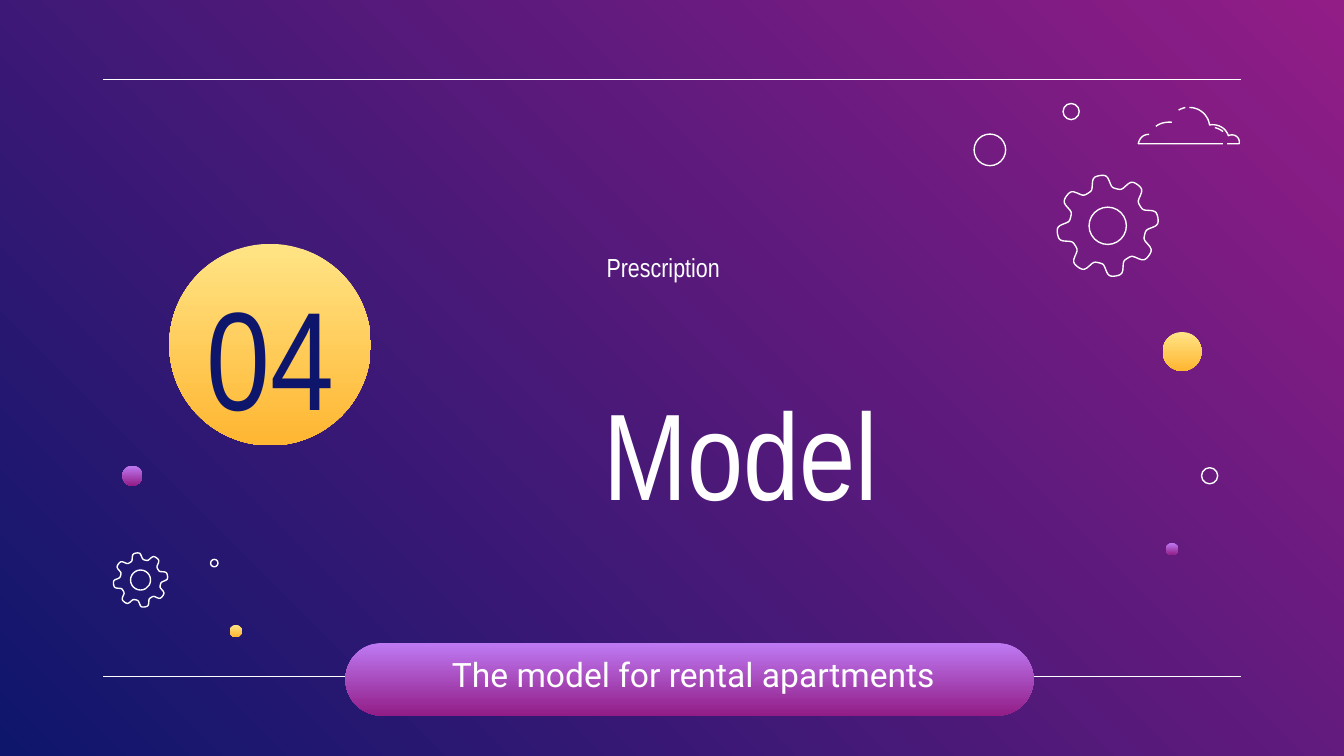
"""Build the section slide "04 Model" on a grid of 100 columns of 0.1 inch."""
import math

import pptx
import pptx.dml.color
import pptx.enum.shapes
import pptx.enum.text
import pptx.oxml
import pptx.oxml.ns
import pptx.util

RGB = pptx.dml.color.RGBColor
SHAPE = pptx.enum.shapes.MSO_SHAPE
ALIGN = pptx.enum.text.PP_ALIGN
ANCHOR = pptx.enum.text.MSO_ANCHOR

COLUMNS, ROWS = 100, 56.25
WHITE = RGB(0xFF, 0xFF, 0xFF)
NAVY = RGB(0x0E, 0x16, 0x6C)
MAGENTA = RGB(0x92, 0x1D, 0x87)
LILAC = RGB(0xBE, 0x7A, 0xF3)
GOLD = (RGB(0xFF, 0xE4, 0x85), RGB(0xFF, 0xB6, 0x32))
PURPLE = (LILAC, MAGENTA)
NARROW = "Arial Narrow"

BADGE = (20.1, 25.65, 15)
DOTS = [
    (87.95, 26.15, 2.9, GOLD),
    (9.85, 35.4, 1.5, PURPLE),
    (17.55, 46.95, 0.9, GOLD),
    (87.2, 40.85, 0.9, PURPLE),
]
RINGS = [(79.7, 8.3, 1.2), (90, 35.4, 1.2), (73.65, 11.15, 2.35), (15.95, 41.9, 0.55)]
GEARS = [(82.42, 16.8, 3.8), (10.46, 43.16, 2.04)]
CLOUD = [
    [[(88.5, 8)],
     [(89.3, 8), (89.9, 8.6), (90, 9.3)],
     [(90.6, 9.2), (91.2, 9.5), (91.4, 10.1)],
     [(91.8, 9.9), (92.3, 10.2), (92.2, 10.7)],
     [(91.3, 10.7)]],
    [[(88.2, 8)], [(88.2, 8), (87.8, 8.1), (87.7, 8.2)]],
    [[(91, 10.7)], [(84.7, 10.7)], [(84.7, 10.7), (84.8, 10), (85.5, 10)]],
    [[(90.4, 9.5)], [(90.4, 9.5), (90.8, 9.6), (91, 9.8)]],
    [[(87.2, 9.1)], [(87.2, 9.1), (86.5, 9), (86, 9.4)]],
]


def cells(count):
    """Turn a number of grid cells into a length."""
    return pptx.util.Inches(count / 10)


def paint_gradient(fill, colours, angle):
    """Fill with two colours at a counter-clockwise angle."""
    fill.gradient()
    fill.gradient_angle = angle
    for stop, colour in zip(fill.gradient_stops, colours):
        stop.color.rgb = colour


def finish(shape, colours=None):
    """Give a shape a vertical gradient, or a white outline without colours."""
    shape.shadow.inherit = False
    if colours:
        paint_gradient(shape.fill, colours, 270)
        shape.line.fill.background()
    else:
        shape.fill.background()
        shape.line.color.rgb = WHITE
        shape.line.width = pptx.util.Pt(0.75)


def add_circle(slide, centre_x, centre_y, size, colours=None):
    """Add a circle around its centre."""
    corner = cells(centre_x - size / 2), cells(centre_y - size / 2)
    finish(slide.shapes.add_shape(SHAPE.OVAL, *corner, cells(size), cells(size)), colours)


def add_outline(slide, points, closed):
    """Draw a white outline through grid points."""
    first, *rest = [(cells(x), cells(y)) for x, y in points]
    builder = slide.shapes.build_freeform(*first)
    builder.add_line_segments(rest, close=closed)
    finish(builder.convert_to_shape())


def add_gear(slide, centre_x, centre_y, radius, teeth=8, steps=192):
    """Draw a gear with rounded teeth and a round hole."""
    points = []
    for step in range(steps):
        turn = 2 * math.pi * step / steps
        wave = math.tanh(2 * math.cos(teeth * (turn + math.radians(99))))
        reach = radius * (0.87 + 0.13 * wave)
        points.append((centre_x + reach * math.cos(turn), centre_y + reach * math.sin(turn)))
    add_outline(slide, points, True)
    add_circle(slide, centre_x, centre_y, radius * 0.73)


def add_stroke(slide, segments, steps=10):
    """Draw an open stroke of straight lines and cubic curves."""
    points = list(segments[0])
    for segment in segments[1:]:
        if len(segment) == 1:
            points += segment
            continue
        corners = [points[-1], *segment]
        for step in range(1, steps + 1):
            t = step / steps
            weights = [math.comb(3, i) * t**i * (1 - t) ** (3 - i) for i in range(4)]
            points.append(tuple(sum(w * c[axis] for w, c in zip(weights, corners))
                                for axis in (0, 1)))
    add_outline(slide, points, False)


def add_rule(slide, row):
    """Draw a thin white line between the side margins."""
    rule = slide.shapes.add_connector(
        pptx.enum.shapes.MSO_CONNECTOR.STRAIGHT,
        cells(7.7), cells(row), cells(COLUMNS - 7.7), cells(row))
    rule.line.color.rgb = WHITE
    rule.line.width = pptx.util.Pt(0.75)
    rule._element.spPr.append(pptx.oxml.parse_xml(
        f'<a:effectLst {pptx.oxml.ns.nsdecls("a")}/>'))


def add_text(slide, words, area, font, size, colour=WHITE, align=ALIGN.CENTER,
             anchor=ANCHOR.MIDDLE, inset=1):
    """Add one line of text in an area of the grid."""
    frame = slide.shapes.add_textbox(*map(cells, area)).text_frame
    frame.word_wrap = True
    frame.vertical_anchor = anchor
    frame.margin_left = frame.margin_right = cells(1)
    frame.margin_top = frame.margin_bottom = cells(inset)
    line = frame.paragraphs[0]
    line.text = words
    line.alignment = align
    line.font.name = font
    line.font.size = pptx.util.Pt(size)
    line.font.color.rgb = colour


def main():
    """Compose and save the slide."""
    deck = pptx.Presentation()
    deck.slide_width, deck.slide_height = cells(COLUMNS), cells(ROWS)
    slide = deck.slides.add_slide(deck.slide_layouts[6])
    paint_gradient(slide.background.fill, (MAGENTA, NAVY), 225)

    for row in (5.9, 50.35):
        add_rule(slide, row)
    banner = slide.shapes.add_shape(
        SHAPE.ROUNDED_RECTANGLE, *map(cells, (25.7, 47.85, 51.2, 5.4)))
    banner.adjustments[0] = 0.5
    finish(banner, PURPLE)
    add_circle(slide, *BADGE, GOLD)

    add_text(slide, "Model", (43.9, 10.2, 56.1, 30.7), NARROW, 66,
             align=ALIGN.LEFT, anchor=ANCHOR.BOTTOM, inset=1.8)
    add_text(slide, "The model for rental apartments", (25.7, 48.5, 51.8, 3.3), "Roboto", 18)
    add_text(slide, "04", (12.6, 22.2, 15, 8.3), NARROW, 75, colour=NAVY)
    add_text(slide, "Prescription", (30.8, 18.2, 37.1, 8.3), NARROW, 14,
             anchor=ANCHOR.TOP, inset=0.5)

    for dot in DOTS:
        add_circle(slide, *dot)
    for ring in RINGS:
        add_circle(slide, *ring)
    for stroke in CLOUD:
        add_stroke(slide, stroke)
    for gear in GEARS:
        add_gear(slide, *gear)

    deck.save("out.pptx")


if __name__ == "__main__":
    main()
